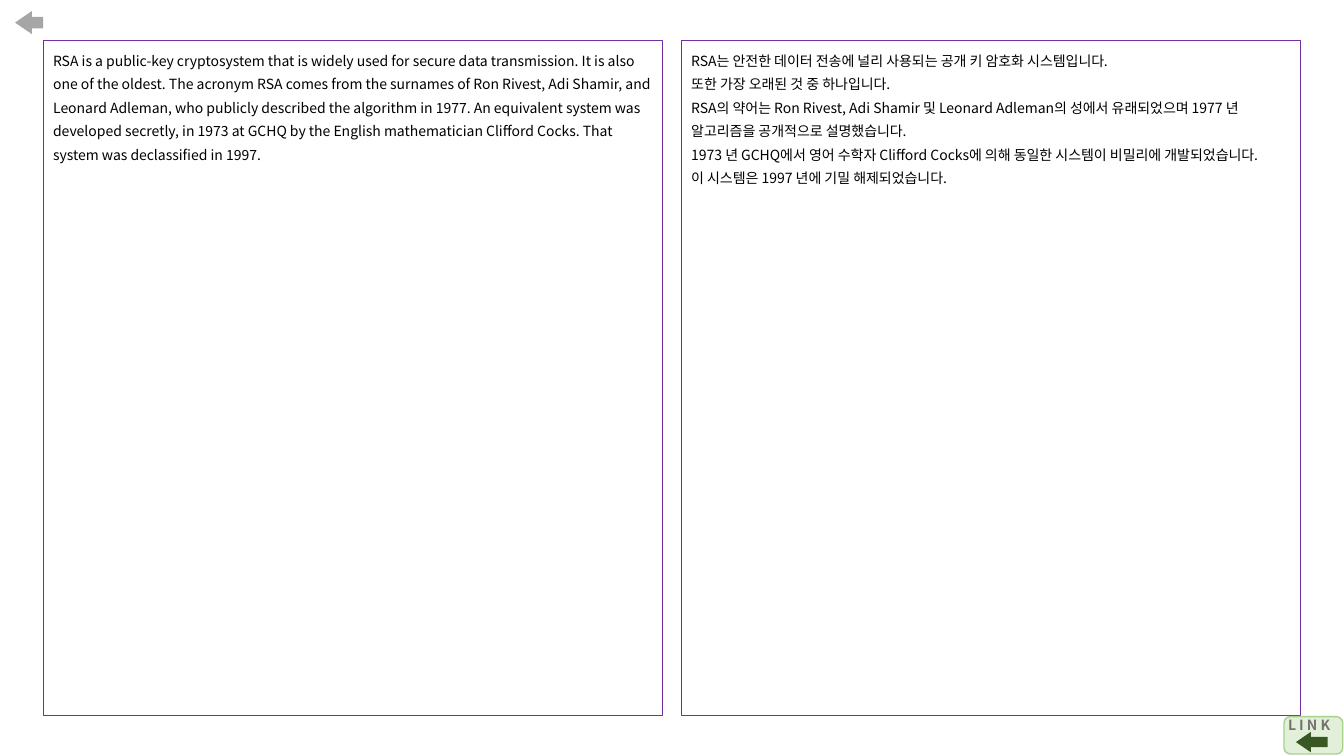
from dataclasses import dataclass

from pptx import Presentation
from pptx.dml.color import RGBColor
from pptx.enum.shapes import MSO_SHAPE
from pptx.enum.text import MSO_ANCHOR, MSO_AUTO_SIZE, PP_ALIGN
from pptx.oxml.ns import qn
from pptx.util import Cm, Pt

RECTANGLE = MSO_SHAPE.RECTANGLE
ROUNDED = MSO_SHAPE.ROUNDED_RECTANGLE
LEFT_ARROW = MSO_SHAPE.LEFT_ARROW
TOP = MSO_ANCHOR.TOP
LEFT = PP_ALIGN.LEFT
FIT_SHAPE = MSO_AUTO_SIZE.SHAPE_TO_FIT_TEXT


@dataclass(frozen=True)
class Theme:
    font: str = "Noto Sans CJK KR"
    text_size: float = 10
    text: str = "000000"
    panel_line: str = "7030A0"
    back_arrow: str = "A6A6A6"
    button_fill: str = "E2F0D9"
    button_line: str = "A9D18E"
    button_text: str = "767171"
    button_arrow: str = "385723"


class SlideBuilder:
    """Draws styled elements on the current slide."""

    def __init__(self, slide, theme):
        self.slide = slide
        self.theme = theme

    def shape(self, parent, kind, box, fill=None, line=None, line_width=0.75):
        shape = parent.add_shape(kind, *map(Cm, box))
        shape.shadow.inherit = False
        if fill:
            shape.fill.solid()
            shape.fill.fore_color.rgb = RGBColor.from_string(fill)
        else:
            shape.fill.background()
        if line:
            shape.line.color.rgb = RGBColor.from_string(line)
            shape.line.width = Pt(line_width)
        else:
            shape.line.fill.background()
        return shape

    def set_text(self, frame, lines, color, bold=False, spacing=None):
        frame.word_wrap = True
        frame.vertical_anchor = TOP
        for index, line in enumerate(lines):
            paragraph = frame.add_paragraph() if index else frame.paragraphs[0]
            paragraph.text = line
            paragraph.alignment = LEFT
            if spacing:
                paragraph.line_spacing = spacing
            font = paragraph.font
            font.size = Pt(self.theme.text_size)
            font.bold = bold
            font.color.rgb = RGBColor.from_string(color)
            font.name = self.theme.font
            defaults = paragraph._p.pPr.find(qn("a:defRPr"))
            east_asian = defaults.makeelement(qn("a:ea"), {"typeface": self.theme.font})
            defaults.find(qn("a:latin")).addnext(east_asian)

    def panel(self, box, lines):
        panel = self.shape(self.slide.shapes, RECTANGLE, box, line=self.theme.panel_line)
        self.set_text(panel.text_frame, lines, self.theme.text, spacing=1.4)

    def arrow(self, parent, box, color):
        arrow = self.shape(parent, LEFT_ARROW, box, fill=color)
        arrow.adjustments[0] = 0.5
        arrow.adjustments[1] = 0.73

    def link_button(self, box, label_box, arrow_box, label):
        group = self.slide.shapes.add_group_shape().shapes
        self.shape(group, ROUNDED, box, self.theme.button_fill, self.theme.button_line, 1)
        text_box = group.add_textbox(*map(Cm, label_box))
        self.set_text(text_box.text_frame, [label], self.theme.button_text, bold=True)
        text_box.text_frame.auto_size = FIT_SHAPE
        self.arrow(group, arrow_box, self.theme.button_arrow)


ENGLISH = [
    "RSA is a public-key cryptosystem that is widely used for secure data transmission. "
    "It is also one of the oldest. The acronym RSA comes from the surnames of Ron Rivest, "
    "Adi Shamir, and Leonard Adleman, who publicly described the algorithm in 1977. "
    "An equivalent system was developed secretly, in 1973 at GCHQ by the English "
    "mathematician Clifford Cocks. That system was declassified in 1997.",
]
KOREAN = [
    "RSA는 안전한 데이터 전송에 널리 사용되는 공개 키 암호화 시스템입니다.",
    "또한 가장 오래된 것 중 하나입니다.",
    "RSA의 약어는 Ron Rivest, Adi Shamir 및 Leonard Adleman의 성에서 유래되었으며 "
    "1977 년 알고리즘을 공개적으로 설명했습니다.",
    "1973 년 GCHQ에서 영어 수학자 Clifford Cocks에 의해 동일한 시스템이 비밀리에 개발되었습니다.",
    "이 시스템은 1997 년에 기밀 해제되었습니다.",
]
PANEL_LEFT, PANEL_TOP, PANEL_WIDTH, PANEL_HEIGHT, PANEL_GAP = 1.09, 1.02, 15.6, 17, 0.48


def main():
    presentation = Presentation()
    presentation.slide_width = Cm(33.87)
    presentation.slide_height = Cm(19.05)
    slide = presentation.slides.add_slide(presentation.slide_layouts[6])
    theme = Theme()
    builder = SlideBuilder(slide, theme)

    for column, lines in enumerate((ENGLISH, KOREAN)):
        left = PANEL_LEFT + column * (PANEL_WIDTH + PANEL_GAP)
        builder.panel((left, PANEL_TOP, PANEL_WIDTH, PANEL_HEIGHT), lines)
    builder.arrow(slide.shapes, (0.38, 0.28, 0.71, 0.58), theme.back_arrow)
    builder.link_button(
        box=(32.36, 18.06, 1.48, 0.94),
        label_box=(32.21, 17.93, 1.88, 1.12),
        arrow_box=(32.66, 18.44, 0.8, 0.52),
        label="L I N K",
    )
    presentation.save("out.pptx")


if __name__ == "__main__":
    main()
